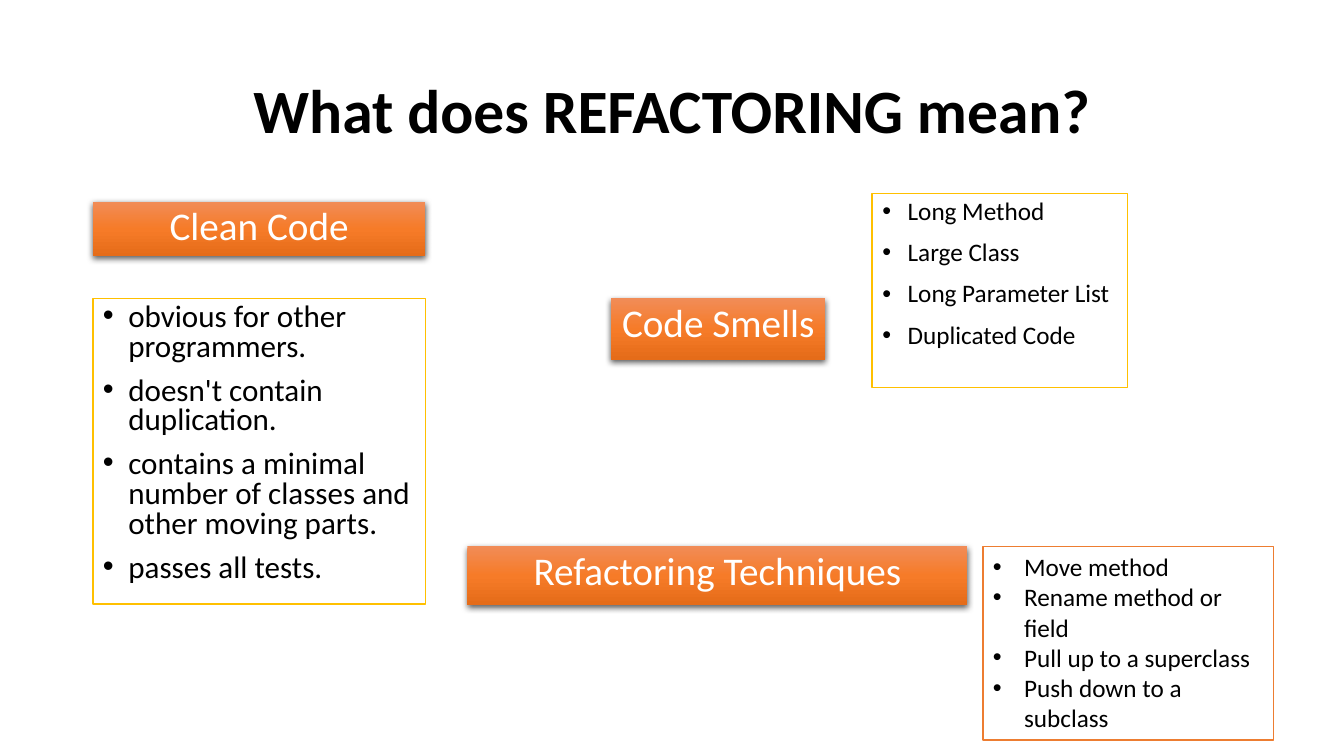
"""Build the slide that explains what refactoring means."""
import copy

import lxml.etree
import pptx
import pptx.dml.color
import pptx.enum.shapes
import pptx.enum.text
import pptx.oxml.ns
import pptx.util

Cm = pptx.util.Cm
Pt = pptx.util.Pt
RGBColor = pptx.dml.color.RGBColor
qn = pptx.oxml.ns.qn

BLACK = RGBColor(0x00, 0x00, 0x00)
WHITE = RGBColor(0xFF, 0xFF, 0xFF)
GOLD = RGBColor(0xFF, 0xC0, 0x00)
ORANGE = RGBColor(0xED, 0x7D, 0x31)
GRADIENT = (
    RGBColor(0xF1, 0x8C, 0x57),
    RGBColor(0xF6, 0x7B, 0x28),
    RGBColor(0xE5, 0x6C, 0x19),
)
FONT = "Calibri"
COMPARISON_LAYOUT = 4
LEFT_COLUMN, LEFT_WIDTH = 2.34, 8.38
MIDDLE_ROW, LOWER_ROW = 7.52, 13.77


def place(shape, left, top, width, height):
    shape.left, shape.top = Cm(left), Cm(top)
    shape.width, shape.height = Cm(width), Cm(height)


def add_rectangle(slide):
    return slide.shapes.add_shape(
        pptx.enum.shapes.MSO_SHAPE.RECTANGLE, 0, 0, Cm(1), Cm(1)
    )


def write_lines(shape, lines, size, color, bold=False):
    text_frame = shape.text_frame
    text_frame.text = "\n".join(lines)
    text_frame.word_wrap = True
    text_frame.auto_size = pptx.enum.text.MSO_AUTO_SIZE.NONE
    text_frame.vertical_anchor = pptx.enum.text.MSO_ANCHOR.TOP
    for paragraph in text_frame.paragraphs:
        for run in paragraph.runs:
            run.font.name = FONT
            run.font.size = Pt(size)
            run.font.bold = bold
            run.font.color.rgb = color


def space_paragraphs(shape, alignment, line_spacing, space_before):
    for paragraph in shape.text_frame.paragraphs:
        paragraph.alignment = alignment
        paragraph.line_spacing = line_spacing
        paragraph.space_before = Pt(space_before)


def add_bullets(shape, indent):
    for paragraph in shape.text_frame.paragraphs:
        properties = paragraph._p.get_or_add_pPr()
        properties.set("marL", str(Cm(indent)))
        properties.set("indent", str(-Cm(indent)))
        bullet_font = lxml.etree.SubElement(properties, qn("a:buFont"))
        bullet_font.set("typeface", "Arial")
        bullet = lxml.etree.SubElement(properties, qn("a:buChar"))
        bullet.set("char", "•")


def fill_gradient(shape):
    shape.fill.gradient()
    shape.fill.gradient_angle = 270
    stop_list = shape._element.spPr.find(".//" + qn("a:gsLst"))
    stop_list.insert(1, copy.deepcopy(stop_list[0]))
    for index, (stop, color) in enumerate(zip(shape.fill.gradient_stops, GRADIENT)):
        stop.position = index / 2
        stop.color.rgb = color


def add_soft_shadow(shape):
    shape.shadow.inherit = False
    effects = shape._element.spPr.find(qn("a:effectLst"))
    shadow = lxml.etree.SubElement(effects, qn("a:outerShdw"))
    shadow.set("blurRad", str(Pt(4.5)))
    shadow.set("dist", str(Pt(1.5)))
    shadow.set("dir", "5400000")
    shadow.set("algn", "ctr")
    shadow.set("rotWithShape", "0")
    color = lxml.etree.SubElement(shadow, qn("a:srgbClr"))
    color.set("val", str(BLACK))
    lxml.etree.SubElement(color, qn("a:alpha")).set("val", "63000")


def format_title(title, text):
    place(title, LEFT_COLUMN, 1.02, 29.21, 3.68)
    write_lines(title, [text], 44, BLACK, bold=True)
    title.text_frame.vertical_anchor = pptx.enum.text.MSO_ANCHOR.MIDDLE
    space_paragraphs(title, pptx.enum.text.PP_ALIGN.CENTER, 0.9, 0)


def format_heading(shape, text, *box):
    place(shape, *box)
    fill_gradient(shape)
    shape.line.fill.background()
    add_soft_shadow(shape)
    write_lines(shape, [text], 28, WHITE)
    space_paragraphs(shape, pptx.enum.text.PP_ALIGN.CENTER, 0.9, 10)


def format_list(shape, lines, box, size, line_color, line_spacing, space_before, indent):
    place(shape, *box)
    shape.fill.solid()
    shape.fill.fore_color.rgb = WHITE
    shape.line.color.rgb = line_color
    shape.line.width = Pt(1)
    shape.shadow.inherit = False
    write_lines(shape, lines, size, BLACK)
    space_paragraphs(shape, pptx.enum.text.PP_ALIGN.LEFT, line_spacing, space_before)
    add_bullets(shape, indent)


def main():
    presentation = pptx.Presentation()
    presentation.slide_width, presentation.slide_height = Cm(33.87), Cm(19.05)
    slide = presentation.slides.add_slide(presentation.slide_layouts[COMPARISON_LAYOUT])
    title, clean_heading, clean_list, smells_heading, smells_list = slide.placeholders

    format_title(title, "What does REFACTORING mean?")
    format_heading(clean_heading, "Clean Code", LEFT_COLUMN, 5.09, LEFT_WIDTH, 1.36)
    format_heading(smells_heading, "Code Smells", 15.4, MIDDLE_ROW, 5.4, 1.55)
    format_heading(
        add_rectangle(slide), "Refactoring Techniques", 11.78, LOWER_ROW, 12.6, 1.47
    )

    clean_qualities = [
        "obvious for other programmers.",
        "doesn't contain duplication.",
        "contains a minimal number of classes and other moving parts.",
        "passes all tests.",
    ]
    smells = ["Long Method", "Large Class", "Long Parameter List", "Duplicated Code"]
    techniques = [
        "Move method",
        "Rename method or field",
        "Pull up to a superclass",
        "Push down to a subclass",
    ]
    clean_box = (LEFT_COLUMN, MIDDLE_ROW, LEFT_WIDTH, 7.7)
    smells_box = (21.98, 4.88, 6.43, 4.88)
    techniques_box = (24.77, LOWER_ROW, 7.32, 4.88)
    format_list(clean_list, clean_qualities, clean_box, 22.2, GOLD, 0.8, 10, 0.64)
    format_list(smells_list, smells, smells_box, 18, GOLD, 0.9, 10, 0.64)
    format_list(
        add_rectangle(slide), techniques, techniques_box, 18, ORANGE, 1.0, 0, 0.79
    )

    presentation.save("out.pptx")


if __name__ == "__main__":
    main()
